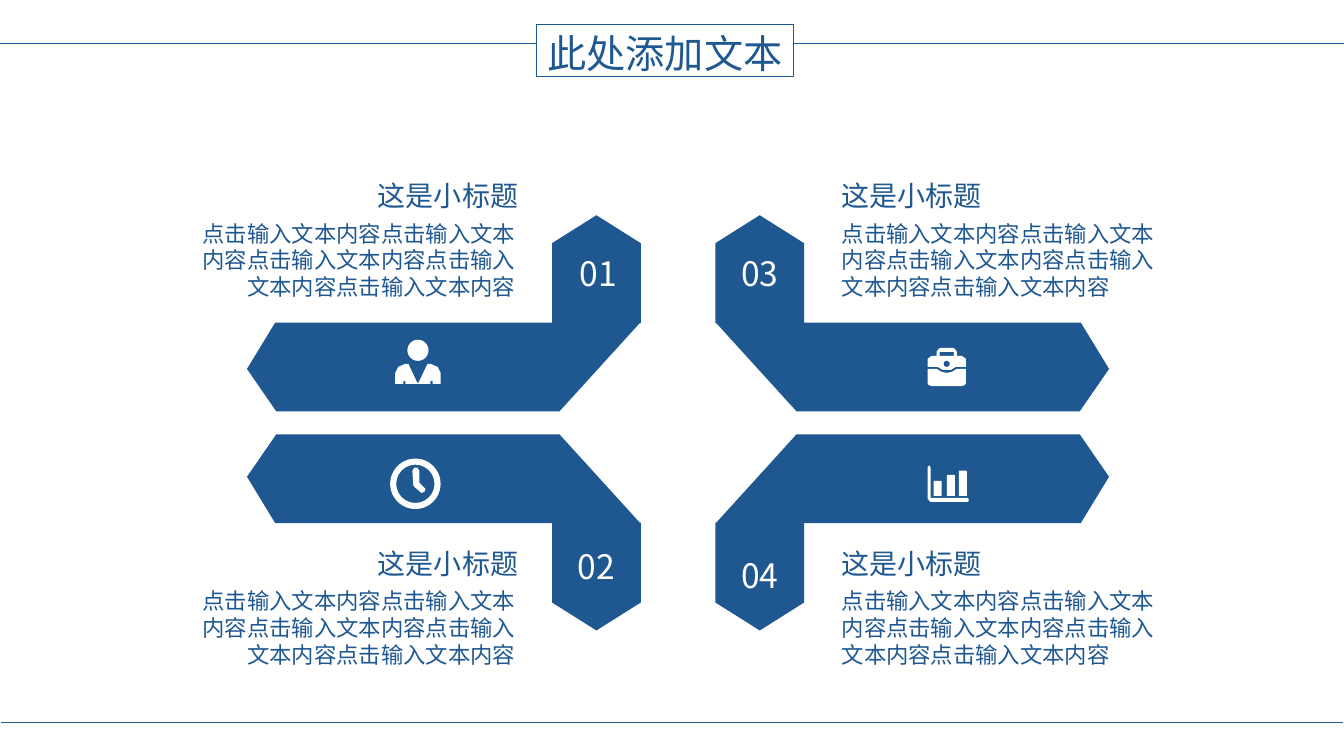
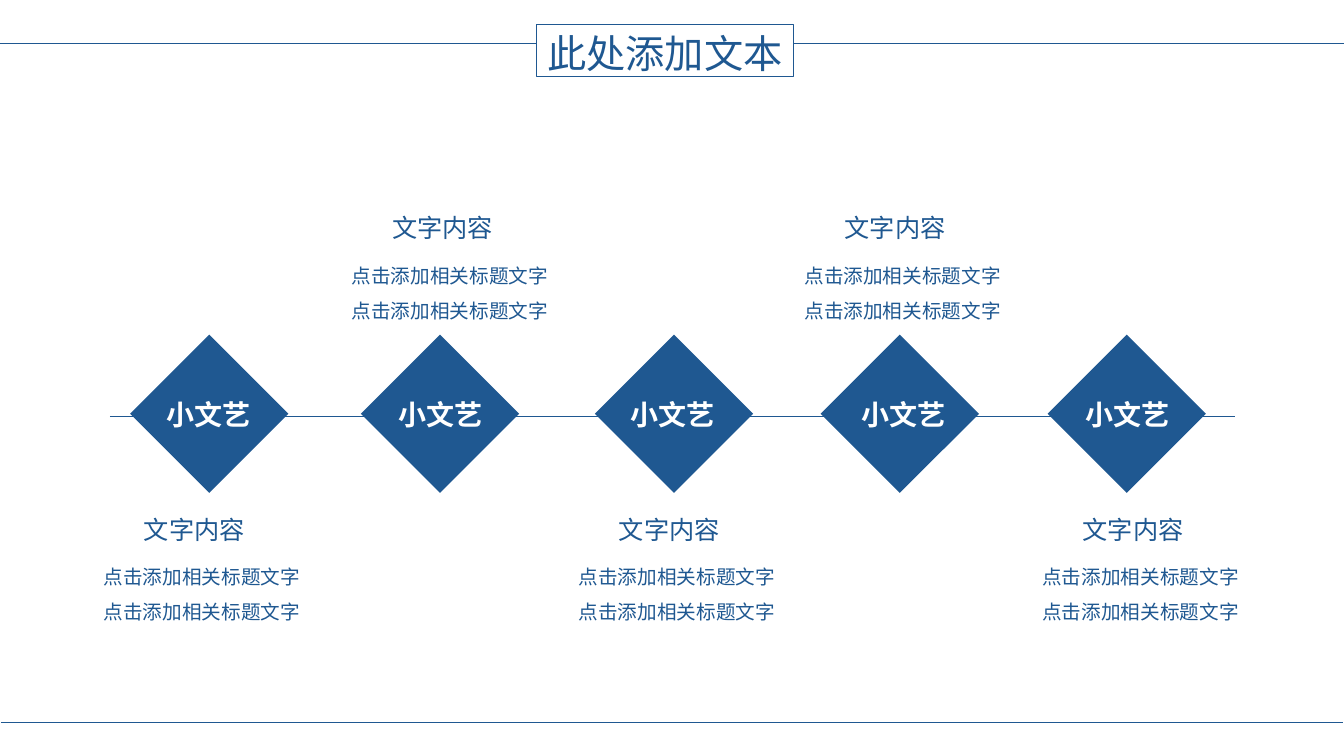
from lxml import etree
from pptx import Presentation
from pptx.dml.color import RGBColor
from pptx.enum.shapes import MSO_CONNECTOR, MSO_SHAPE
from pptx.enum.text import MSO_ANCHOR, PP_ALIGN
from pptx.oxml.ns import qn
from pptx.util import Inches, Pt

BLUE = RGBColor(0x1F, 0x58, 0x91)
WHITE = RGBColor(0xFF, 0xFF, 0xFF)
FONT = "Noto Sans CJK SC"
WIDTH, HEIGHT = 13.33, 7.5


class Deck:
    def __init__(self):
        self.prs = Presentation()
        self.prs.slide_width = Inches(WIDTH)
        self.prs.slide_height = Inches(HEIGHT)
        self.s = None

    def add_slide(self, title):
        self.s = self.prs.slides.add_slide(self.prs.slide_layouts[6])
        sp = self.shape(MSO_SHAPE.RECTANGLE, 5.32, 0.24, 2.55, 0.52, None)
        sp.line.color.rgb = BLUE
        sp.line.width = Pt(0.75)
        tf = sp.text_frame
        tf.margin_left = tf.margin_right = tf.margin_top = tf.margin_bottom = 0
        tf.vertical_anchor = MSO_ANCHOR.MIDDLE
        self.fill_text(tf, [title], 28, align=PP_ALIGN.CENTER, spacing=1.1)
        self.line(0, 5.32, 0.43)
        self.line(7.87, WIDTH, 0.43)
        self.line(0.01, 13.32, 7.17)

    def fill_text(self, tf, lines, size, color=BLUE, align=PP_ALIGN.LEFT,
                  bold=False, spacing=None):
        for i, text in enumerate(lines):
            p = tf.paragraphs[0] if i == 0 else tf.add_paragraph()
            r = p.add_run()
            r.text = text
            p.alignment = align
            p.line_spacing = spacing
            font = p.font
            font.size = Pt(size)
            font.bold = bold
            font.color.rgb = color
            font.name = FONT
            ea = etree.SubElement(r._r.get_or_add_rPr(), qn("a:ea"))
            ea.set("typeface", FONT)

    def text(self, x, y, w, h, lines, size, wrap=True, **style):
        tf = self.s.shapes.add_textbox(
            Inches(x), Inches(y), Inches(w), Inches(h)).text_frame
        tf.word_wrap = wrap
        self.fill_text(tf, lines, size, **style)

    def paint(self, sp, fill):
        sp.shadow.inherit = False
        sp.line.fill.background()
        if fill is None:
            sp.fill.background()
        else:
            sp.fill.solid()
            sp.fill.fore_color.rgb = fill
        return sp

    def shape(self, kind, x, y, w, h, fill=BLUE, adj=None, rotation=0):
        sp = self.s.shapes.add_shape(
            kind, Inches(x), Inches(y), Inches(w), Inches(h))
        if adj is not None:
            sp.adjustments[0] = adj
        sp.rotation = rotation
        return self.paint(sp, fill)

    def outline(self, *contours, fill=WHITE):
        rings = [[(Inches(x), Inches(y)) for x, y in c] for c in contours]
        builder = self.s.shapes.build_freeform(*rings[0][0])
        builder.add_line_segments(rings[0][1:])
        for ring in rings[1:]:
            builder.move_to(*ring[0])
            builder.add_line_segments(ring[1:])
        self.paint(builder.convert_to_shape(), fill)

    def line(self, x1, x2, y):
        c = self.s.shapes.add_connector(
            MSO_CONNECTOR.STRAIGHT, Inches(x1), Inches(y), Inches(x2), Inches(y))
        c.line.color.rgb = BLUE
        c.line.width = Pt(0.5)
        etree.SubElement(c._element.spPr, qn("a:effectLst"))


def symmetric(half, axis):
    return half + [(2 * axis - x, y) for x, y in reversed(half)]


def person_icon(deck):
    deck.shape(MSO_SHAPE.OVAL, 4.04, 3.37, 0.21, 0.21, WHITE)
    deck.outline(symmetric(
        [(4.02, 3.81), (4.02, 3.78), (4, 3.78), (4, 3.81), (3.92, 3.81),
         (3.92, 3.7), (3.95, 3.64), (4.02, 3.61), (4.05, 3.61), (4.14, 3.8)],
        4.145))


def clock_icon(deck):
    deck.shape(MSO_SHAPE.DONUT, 3.87, 4.55, 0.5, 0.5, WHITE, 0.12)
    deck.outline([(4.09, 4.67), (4.11, 4.64), (4.14, 4.64), (4.16, 4.67),
                  (4.16, 4.79), (4.22, 4.85), (4.21, 4.88), (4.18, 4.89),
                  (4.1, 4.82)])


def briefcase_icon(deck):
    axis = 9.39
    body = symmetric([(9.39, 3.7), (9.34, 3.69), (9.29, 3.66), (9.2, 3.66),
                      (9.2, 3.8), (9.21, 3.82), (9.24, 3.83)], axis)
    lid = symmetric([(9.39, 3.67), (9.35, 3.67), (9.3, 3.64), (9.2, 3.64),
                     (9.2, 3.56), (9.24, 3.53), (9.29, 3.53), (9.29, 3.49),
                     (9.31, 3.46), (9.34, 3.45)], axis)
    handle_gap = symmetric([(9.32, 3.53), (9.32, 3.49)], axis)
    deck.outline(body)
    deck.outline(lid, handle_gap)
    deck.shape(MSO_SHAPE.OVAL, 9.36, 3.58, 0.06, 0.06)


def chart_icon(deck):
    for x, top in ((9.26, 4.77), (9.39, 4.71), (9.51, 4.67)):
        deck.shape(MSO_SHAPE.ROUNDED_RECTANGLE, x, top, 0.08, 4.92 - top, WHITE, 0.08)
    deck.outline([(9.2, 4.64), (9.21, 4.62), (9.22, 4.62), (9.23, 4.64),
                  (9.23, 4.94), (9.6, 4.94), (9.61, 4.96), (9.6, 4.98),
                  (9.23, 4.98), (9.2, 4.95)])


def arrows_slide(deck):
    deck.add_slide("此处添加文本")
    arm = [(6.35, 3.2), (2.73, 3.2), (2.45, 3.66), (2.74, 4.08), (5.55, 4.08)]
    plate_x, plate_y, plate_w, plate_h = 5.38, 2.23, 1.07, 0.88
    sum_x, sum_y = 13.45, 8.39
    body = "点击输入文本内容" * 5
    numbers = (("01", 5.45, 2.46), ("02", 5.43, 5.37),
               ("03", 7.05, 2.46), ("04", 7.05, 5.46))
    for i, (number, number_x, number_y) in enumerate(numbers):
        right, low = divmod(i, 2)
        deck.outline([(sum_x - x if right else x, sum_y - y if low else y)
                      for x, y in arm], fill=BLUE)
        deck.shape(MSO_SHAPE.PENTAGON,
                   sum_x - plate_x - plate_w if right else plate_x,
                   sum_y - plate_y - plate_h if low else plate_y,
                   plate_w, plate_h, adj=0.315, rotation=90 if low else 270)
        deck.text(number_x, number_y, 0.97, 0.5, [number], 24,
                  color=WHITE, align=PP_ALIGN.CENTER)
        top = 5.37 if low else 1.72
        deck.text(8.25 if right else 3.65, top, 1.67, 0.44, ["这是小标题"], 20)
        deck.text(8.25 if right else 1.88, top + 0.41, 3.33, 0.91, [body], 16,
                  align=PP_ALIGN.LEFT if right else PP_ALIGN.RIGHT)
    for icon in (person_icon, clock_icon, briefcase_icon, chart_icon):
        icon(deck)


def timeline_slide(deck):
    deck.add_slide("此处添加文本")
    deck.line(1.09, 12.25, 4.13)
    steps = ((1.29, 1.55, 1.33), (3.58, 3.85, 3.79), (5.9, 6.15, 6.04),
             (8.14, 8.44, 8.28), (10.39, 10.66, 10.64))
    for i, (diamond_x, label_x, caption_x) in enumerate(steps):
        deck.shape(MSO_SHAPE.DIAMOND, diamond_x, 3.32, 1.57, 1.57)
        deck.text(label_x, 3.89, 1.04, 0.44, ["小文艺"], 20, wrap=False,
                  color=WHITE, align=PP_ALIGN.CENTER, bold=True)
        top = 2.06 if i % 2 else 5.05
        deck.text(caption_x, top, 1.33, 0.41, ["文字内容"], 18)
        deck.text(caption_x - 0.4, top + 0.39, 2.4, 0.81,
                  ["点击添加相关标题文字"] * 2, 14, spacing=1.5)


def main():
    deck = Deck()
    arrows_slide(deck)
    timeline_slide(deck)
    deck.prs.save("out.pptx")


if __name__ == "__main__":
    main()
